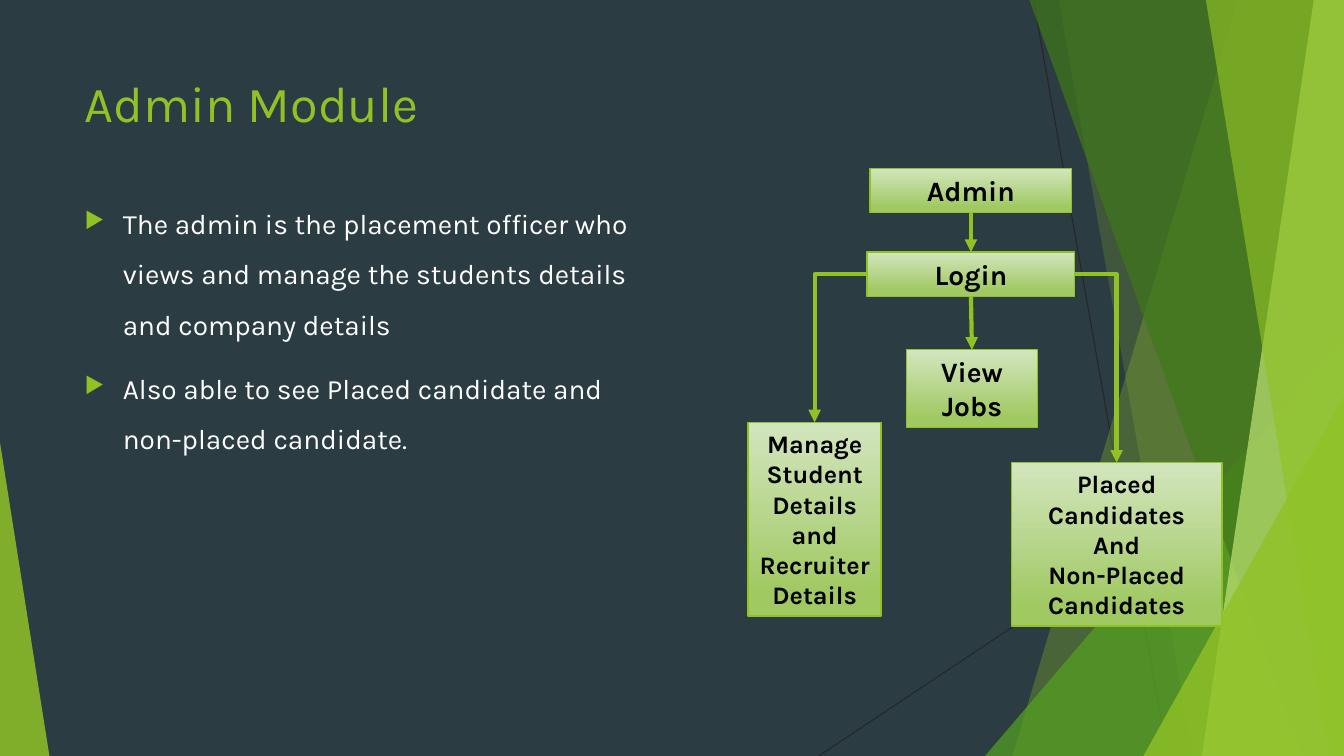
from lxml.etree import SubElement
from pptx import Presentation
from pptx.dml.color import RGBColor
from pptx.enum.shapes import MSO_CONNECTOR as Link, MSO_SHAPE as Shape
from pptx.enum.text import MSO_ANCHOR as Anchor, PP_ALIGN as Align
from pptx.oxml.ns import qn
from pptx.util import Inches, Pt

SLATE = RGBColor(0x2C, 0x3C, 0x43)
LIME = RGBColor(0x90, 0xC2, 0x26)
GREEN = RGBColor(0x54, 0xA0, 0x21)
FOREST = RGBColor(0x3F, 0x78, 0x19)
PALE_LIME = RGBColor(0xC0, 0xE4, 0x74)
BOX_TOP = RGBColor(0xD3, 0xE5, 0xBE)
BOX_BOTTOM = RGBColor(0xA0, 0xC9, 0x62)
CHARCOAL = RGBColor(0x26, 0x26, 0x26)
WHITE = RGBColor(0xFF, 0xFF, 0xFF)
BLACK = RGBColor(0, 0, 0)
WIDTH, HEIGHT = 13.33, 7.5
TOP, LEFT, BOTTOM, RIGHT = range(4)


class ModuleSlide:
    """Draws the elements of a green faceted slide in one shared style."""

    font = "Karla"

    def __init__(self, deck):
        self.slide = deck.slides.add_slide(deck.slide_layouts[6])
        self.shapes = self.slide.shapes
        background = self.slide.background.fill
        background.solid()
        background.fore_color.rgb = SLATE

    def tint(self, facet, color, opacity):
        facet.shadow.inherit = False
        facet.line.fill.background()
        facet.fill.solid()
        facet.fill.fore_color.rgb = color
        solid = facet._element.spPr.find(qn("a:solidFill"))
        SubElement(solid[0], qn("a:alpha"), val=str(opacity * 1000))

    def facet(self, top_left, bottom_left, color, opacity):
        outline = self.shapes.build_freeform(Inches(top_left), 0)
        corners = [(WIDTH, 0), (WIDTH, HEIGHT), (bottom_left, HEIGHT)]
        outline.add_line_segments([(Inches(x), Inches(y)) for x, y in corners])
        self.tint(outline.convert_to_shape(), color, opacity)

    def wedge(self, left, top, width, apex, color, opacity):
        wedge = self.shapes.add_shape(
            Shape.ISOSCELES_TRIANGLE, Inches(left), Inches(top),
            Inches(width), Inches(HEIGHT - top))
        wedge.adjustments[0] = apex
        self.tint(wedge, color, opacity)

    def line(self, start, end, color, weight, kind=Link.STRAIGHT):
        line = self.shapes.add_connector(kind, *map(Inches, start + end))
        line.line.color.rgb = color
        line.line.width = Pt(weight)
        SubElement(line._element.spPr, qn("a:effectLst"))
        return line

    def arrow(self, source, source_side, target, kind=Link.STRAIGHT):
        arrow = self.line((0, 0), (0, 0), LIME, 3, kind)
        arrow.begin_connect(source, source_side)
        arrow.end_connect(target, TOP)
        outline = arrow._element.spPr.find(qn("a:ln"))
        SubElement(outline, qn("a:tailEnd"), type="triangle")
        if kind == Link.ELBOW:
            geometry = arrow._element.spPr.find(qn("a:prstGeom"))
            geometry.set("prst", "bentConnector2")

    def set_text(self, frame, text, size, color, bold=False, align=Align.LEFT):
        frame.word_wrap = True
        frame.text = text
        for paragraph in frame.paragraphs:
            paragraph.alignment = align
            for run in paragraph.runs:
                run.font.name = self.font
                run.font.size = Pt(size)
                run.font.bold = bold
                run.font.color.rgb = color

    def text(self, left, top, width, height, text, size, color):
        area = self.shapes.add_textbox(*map(Inches, (left, top, width, height)))
        self.set_text(area.text_frame, text, size, color)
        return area.text_frame

    def bullets(self, left, top, width, height, points):
        frame = self.text(left, top, width, height, "\n".join(points), 20, WHITE)
        for index, point in enumerate(frame.paragraphs):
            point.line_spacing = 1.5
            point.space_before = Pt(10 if index else 0)
            properties = point._p.get_or_add_pPr()
            properties.set("marL", str(Inches(0.38)))
            properties.set("indent", str(Inches(-0.38)))
            bullet_color = SubElement(properties, qn("a:buClr"))
            SubElement(bullet_color, qn("a:srgbClr"), val=str(LIME))
            SubElement(properties, qn("a:buSzPct"), val="80000")
            SubElement(properties, qn("a:buChar"), char="▶")

    def box(self, left, top, width, height, text, size=20):
        box = self.shapes.add_shape(
            Shape.RECTANGLE, *map(Inches, (left, top, width, height)))
        box.shadow.inherit = False
        box.fill.gradient()
        box.fill.gradient_angle = 270
        stops = [(0, BOX_TOP), (0.88, BOX_BOTTOM)]
        for stop, (position, color) in zip(box.fill.gradient_stops, stops):
            stop.position = position
            stop.color.rgb = color
        box.line.color.rgb = LIME
        box.line.width = Pt(1)
        box.text_frame.vertical_anchor = Anchor.MIDDLE
        self.set_text(box.text_frame, text, size, BLACK, True, Align.CENTER)
        return box


def main():
    deck = Presentation()
    deck.slide_width, deck.slide_height = Inches(WIDTH), Inches(HEIGHT)
    page = ModuleSlide(deck)

    page.line((10.25, 0), (11.58, HEIGHT), CHARCOAL, 0.75)
    page.line((WIDTH, 4.03), (8.12, HEIGHT), CHARCOAL, 0.75)
    page.facet(12.28, 10.04, LIME, 30)
    page.facet(10.5, 11.83, LIME, 20)
    page.wedge(9.77, 3.33, 3.56, 1, GREEN, 72)
    page.facet(10.21, 12.91, FOREST, 70)
    page.facet(13.03, 11.92, PALE_LIME, 70)
    page.facet(11.96, 13.18, LIME, 65)
    page.wedge(11.34, 3.93, 1.99, 1, LIME, 80)
    page.wedge(0, 4.39, 0.49, 0, LIME, 85)

    page.text(0.74, 0.67, 9.4, 1.44, "Admin Module", 36, LIME)
    page.bullets(0.74, 1.83, 5.94, 4.78, [
        "The admin is the placement officer who views and manage the "
        "students details and company details",
        "Also able to see Placed candidate and non-placed candidate.",
    ])

    admin = page.box(8.63, 1.67, 2, 0.44, "Admin")
    login = page.box(8.6, 2.5, 2.06, 0.44, "Login")
    jobs = page.box(8.99, 3.47, 1.3, 0.77, "View Jobs")
    details = page.box(7.42, 4.19, 1.32, 1.92,
                       "Manage Student Details and\nRecruiter\nDetails", 18)
    candidates = page.box(10.03, 4.59, 2.09, 1.62,
                          "Placed Candidates\nAnd\nNon-Placed Candidates", 18)
    page.arrow(admin, BOTTOM, login)
    page.arrow(login, BOTTOM, jobs)
    page.arrow(login, LEFT, details, Link.ELBOW)
    page.arrow(login, RIGHT, candidates, Link.ELBOW)

    deck.save("out.pptx")


if __name__ == "__main__":
    main()
